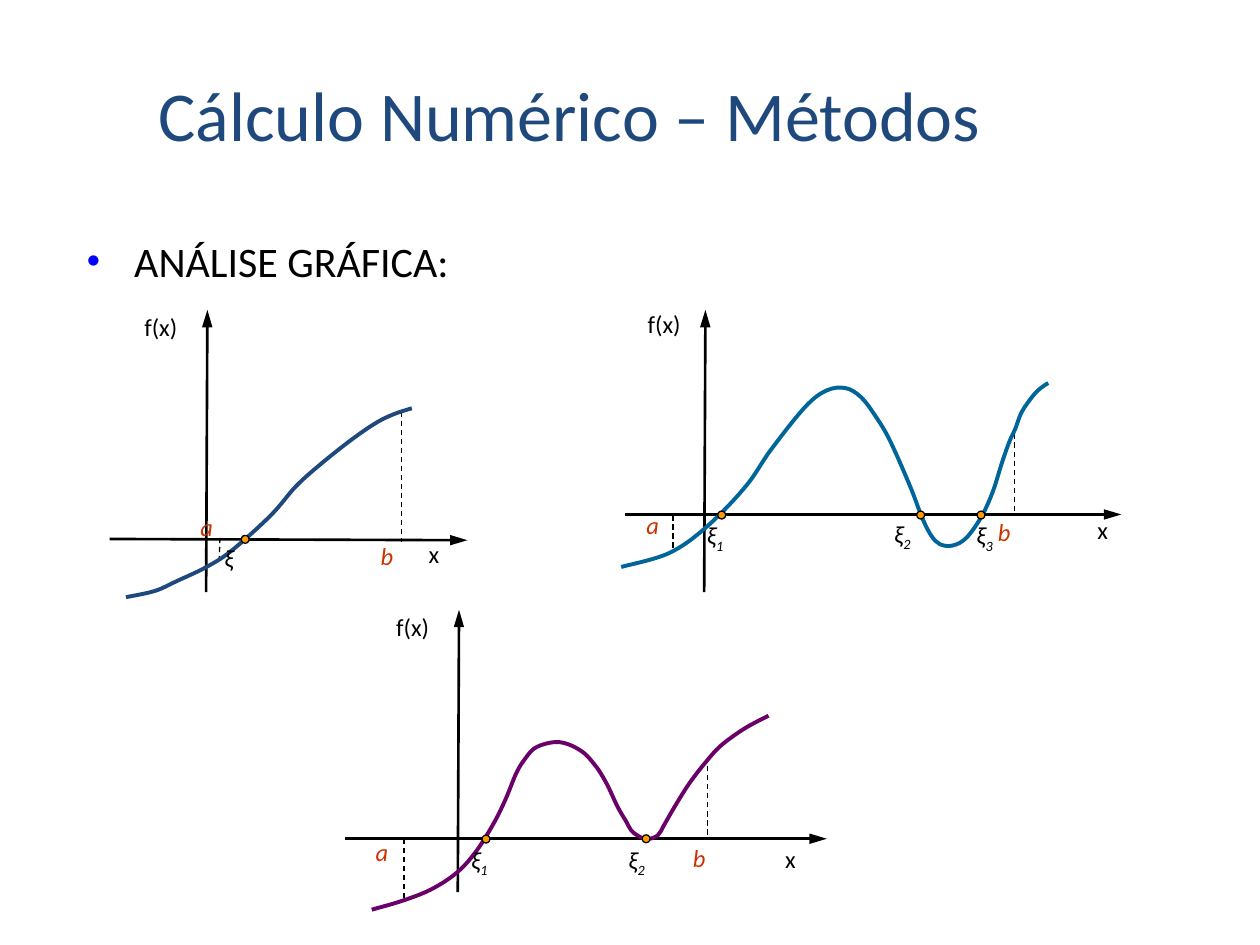
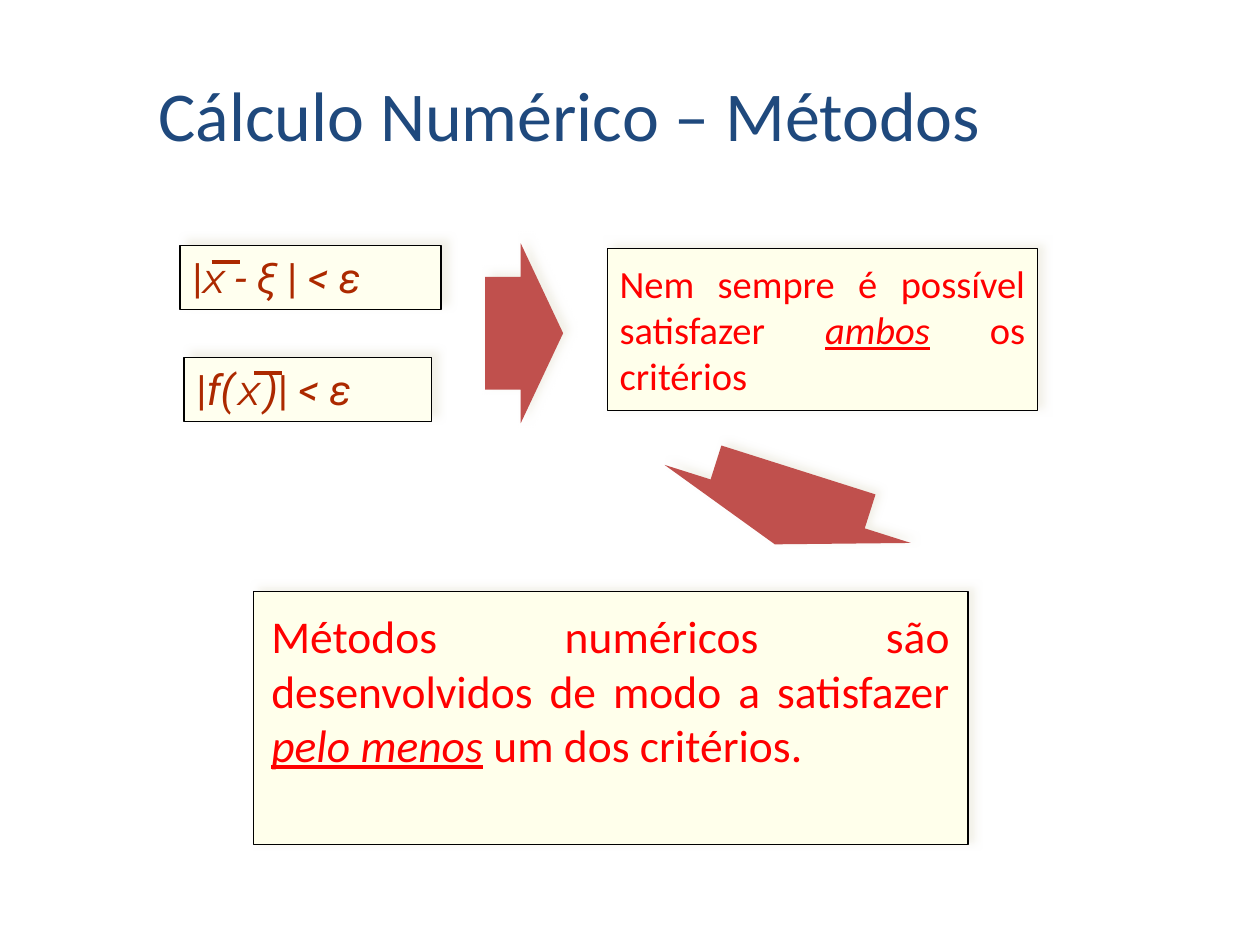
from pptx import Presentation
from pptx.dml.color import RGBColor
from pptx.enum.dml import MSO_LINE
from pptx.enum.shapes import MSO_CONNECTOR, MSO_SHAPE
from pptx.enum.text import MSO_ANCHOR, MSO_AUTO_SIZE, PP_ALIGN
from pptx.oxml.ns import qn
from pptx.util import Pt
from lxml.etree import SubElement

BLUE, BLACK, RED, RUST = "1F497D", "000000", "FF0000", "AC2900"
MARK, DOT, BRICK, SHADE = "CC3300", "FF9900", "C0504D", "EEECE1"


def ink(code):
    return RGBColor.from_string(code)


def write(par, parts, size, code, face="Calibri"):
    for text, look in parts:
        run = par.add_run()
        run.text = text
        font = run.font
        font.size = Pt(look.get("size", size))
        font.name = look.get("face", face)
        font.color.rgb = ink(code)
        font.italic = look.get("slant", False)
        font.underline = look.get("under", False)
        if "base" in look:
            run._r.get_or_add_rPr().set("baseline", look["base"])


deck = Presentation()
deck.slide_width, deck.slide_height = Pt(720), Pt(540)
pages = [deck.slides.add_slide(deck.slide_layouts[n]) for n in (1, 5)]

for page in pages:
    title = page.shapes.title
    title.left, title.top, title.width, title.height = Pt(83.3), Pt(41.8), Pt(613.4), Pt(50.4)
    frame = title.text_frame
    frame.auto_size = MSO_AUTO_SIZE.NONE
    frame.vertical_anchor = MSO_ANCHOR.BOTTOM
    par = frame.paragraphs[0]
    par.alignment = PP_ALIGN.LEFT
    write(par, [("Cálculo Numérico – Métodos", {})], 40, BLUE)

graph, rule = pages

body = graph.placeholders[1]
body.left, body.top, body.width, body.height = Pt(42.5), Pt(131), Pt(642.2), Pt(41.8)
body.text_frame.auto_size = MSO_AUTO_SIZE.NONE
par = body.text_frame.paragraphs[0]
par.alignment = PP_ALIGN.JUSTIFY
par.space_before = Pt(0)
props = par._p.get_or_add_pPr()
props.set("marL", str(Pt(27)))
props.set("indent", str(Pt(-27)))
SubElement(SubElement(props, qn("a:buClr")), qn("a:srgbClr"), val="0000FF")
SubElement(props, qn("a:buSzPct"), val="90000")
SubElement(props, qn("a:buChar"), char="•")
write(par, [("ANÁLISE GRÁFICA:", {})], 24, BLACK)

plots = [
    {
        "hue": "006699",
        "axes": [(403.1, 177.1, 402.4, 338.4), (640.8, 294, 357.1, 294)],
        "drops": [(579.6, 247.7, 579.6, 294), (384.5, 294.5, 384.5, 315.4)],
        "roots": [(412.4, 294.3), (526.1, 294.3), (560.6, 294.3)],
        "curve": [
            (355, 324), (382.3, 316.1), (403.9, 301), (426.2, 277.9), (440.6, 257),
            (460.1, 232.6), (472.3, 223.2), (483.1, 221.8), (491.8, 226.8),
            (499.7, 236.9), (508.3, 251.3), (519.8, 277.2), (527, 295.9),
            (532.1, 306), (537.1, 311), (544.3, 311.8), (552.2, 307.4),
            (560.9, 295.2), (567.4, 280.8), (572.4, 265), (576.7, 252.7),
            (580.3, 244.8), (583.9, 235.4), (590.4, 226.1), (594.7, 221.8), (599, 218.9),
        ],
        "tags": [
            ("ξ1", 403.9, 297.4), ("ξ2", 511, 296.6), ("f(x)", 370.1, 176.4),
            ("x", 627.1, 294.5), ("ξ3", 558, 297.4), ("a", 369.4, 291.6), ("b", 570.2, 295.2),
        ],
    },
    {
        "hue": BLUE,
        "axes": [(118.5, 177.1, 117.8, 338.4), (267.1, 308.7, 62.6, 308)],
        "drops": [(229.5, 235.4, 229.5, 309.6), (125.7, 307.4, 125.3, 319.7)],
        "roots": [(140.1, 308.2)],
        "curve": [
            (72, 341.3), (88.6, 337.7), (101.5, 331.9), (118.1, 324), (132.5, 314.6),
            (154.8, 294.5), (169.2, 277.9), (183.6, 265), (200.9, 251.3),
            (214.6, 241.9), (224.6, 236.9), (235.4, 233.3),
        ],
        "tags": [
            ("ξ", 128.2, 310.3), ("b", 217.6, 309.3), ("f(x)", 82.5, 178.2),
            ("x", 245, 308.2), ("a", 114.5, 292.6),
        ],
    },
    {
        "hue": "6A006A",
        "axes": [(262.3, 348.5, 261.6, 509.8), (472.5, 479.3, 197.3, 479.3)],
        "drops": [(230.9, 479.5, 230.9, 515.5), (404.3, 432.7, 404.3, 479.5)],
        "roots": [(277.7, 479.5), (369.2, 479.3)],
        "curve": [
            (212.4, 519.8), (229.7, 514.8), (246.2, 508.3), (260.6, 499), (271.4, 487.4),
            (281.5, 471.6), (288.7, 457.2), (295.2, 441.4), (300.2, 433.4),
            (305.3, 427.7), (312.5, 424.8), (319.7, 424.1), (326.9, 426.2),
            (334.1, 430.6), (339.8, 437), (343.4, 442.1), (347.8, 450),
            (352.8, 460.8), (357.8, 469.4), (360.7, 474.5), (364.3, 477.4),
            (369.4, 479.5), (375.8, 477.4), (379.4, 471.6), (385.2, 461.5),
            (393.8, 447.8), (403.2, 435.6), (411.8, 426.2), (423.4, 417.6),
            (432, 412.6), (439.2, 409),
        ],
        "tags": [
            ("a", 214.6, 478.1), ("ξ1", 269.3, 482.7), ("f(x)", 226.4, 349.6),
            ("x", 448.6, 482.4), ("ξ2", 359.1, 482.7), ("b", 396, 481.7),
        ],
    },
]

for plot in plots:
    group = graph.shapes.add_group_shape().shapes

    for ends in plot["axes"] + plot["drops"]:
        line = group.add_connector(MSO_CONNECTOR.STRAIGHT, *map(Pt, ends))
        line.line.color.rgb = ink(BLACK)
        SubElement(line._element.spPr, qn("a:effectLst"))
        if ends in plot["axes"]:
            line.line.width = Pt(1.5)
            SubElement(line.line._get_or_add_ln(), qn("a:headEnd"), type="triangle", w="med", len="lg")
        else:
            line.line.width = Pt(0.75)
            line.line.dash_style = MSO_LINE.DASH

    knots = [tuple(map(Pt, knot)) for knot in plot["curve"]]
    pen = group.build_freeform(*knots[0])
    pen.add_line_segments(knots[1:], close=False)
    curve = pen.convert_to_shape()
    curve.shadow.inherit = False
    curve.fill.background()
    curve.line.color.rgb = ink(plot["hue"])
    curve.line.width = Pt(2.25)

    padded = knots[:1] + knots + knots[-1:]
    quads = zip(padded, padded[1:], padded[2:], padded[3:])
    for leg, quad in zip(list(curve._element.iter(qn("a:lnTo"))), quads):
        leg.tag = qn("a:cubicBezTo")
        leg.remove(leg[0])
        axes = list(zip(*quad))
        for bend in (
            [q + (r - p) / 6 for p, q, r, s in axes],
            [r - (s - q) / 6 for p, q, r, s in axes],
            quad[2],
        ):
            x, y = bend
            SubElement(leg, qn("a:pt"), x=str(round(x - curve.left)), y=str(round(y - curve.top)))

    for x, y in plot["roots"]:
        root = group.add_shape(MSO_SHAPE.OVAL, Pt(x - 2.25), Pt(y - 2.25), Pt(4.5), Pt(4.5))
        root.shadow.inherit = False
        root.fill.solid()
        root.fill.fore_color.rgb = ink(DOT)
        root.line.color.rgb = ink(BLACK)
        root.line.width = Pt(0.75)

    for text, x, y in plot["tags"]:
        tag = group.add_textbox(Pt(x), Pt(y), Pt(31 if text == "f(x)" else 19), Pt(17.3))
        frame = tag.text_frame
        frame.word_wrap = True
        frame.margin_left = frame.margin_right = frame.margin_top = frame.margin_bottom = 0
        parts = [(text, {"slant": text in "ab"})]
        if text[0] == "ξ":
            parts = [("ξ", {"slant": True})]
            if text[1:]:
                parts.append((text[1:], {"slant": True, "base": "-25000"}))
        write(frame.paragraphs[0], parts, 14, MARK if text in "ab" else BLACK)

for x, y, w, h, turn in [(427.2, 216, 44.6, 147.6, 107.6), (277.2, 139, 44.6, 102.8, 0)]:
    arrow = rule.shapes.add_shape(MSO_SHAPE.RIGHT_ARROW, Pt(x), Pt(y), Pt(w), Pt(h))
    arrow.rotation = turn
    arrow.adjustments[0], arrow.adjustments[1] = 0.626, 0.543
    arrow.fill.solid()
    arrow.fill.fore_color.rgb = ink(BRICK)
    arrow.line.fill.background()

plain, slant = {}, {"slant": True}
stress = {"slant": True, "under": True}
glyph = {"slant": True, "face": "Montserrat"}
boxes = [
    (347, 142.1, 245.9, 92.7, "FFFFEB", (7.2, 6.5), 22, RED, "Calibri",
     [("Nem sempre é possível satisfazer ", plain), ("ambos", stress), (" os critérios", plain)]),
    (105.1, 204.3, 141.4, 36.5, "FFFFEF", (7.2, 3.6), 24, RUST, "Roboto",
     [("|", plain), ("f(", slant), (" ", {"slant": True, "size": 8, "face": "Calibri"}),
      ("x", glyph), (" ", {"slant": True, "size": 8}), (")", slant), ("|", plain),
      (" < ε", slant)]),
    (102.8, 140.3, 149.2, 36.5, "FFFFEF", (7.2, 3.6), 24, RUST, "Roboto",
     [("|", plain), ("x", glyph), (" - ξ ", slant), ("| ", plain), ("< ε", slant)]),
    (145, 338, 408.2, 144.6, "FFFFEB", (10.1, 9.4), 26, RED, "Calibri",
     [("Métodos numéricos são desenvolvidos de modo a satisfazer ", plain),
      ("pelo menos", stress), (" um dos critérios.", plain)]),
]
for x, y, w, h, fill, pad, size, code, face, parts in boxes:
    box = rule.shapes.add_shape(MSO_SHAPE.RECTANGLE, Pt(x), Pt(y), Pt(w), Pt(h))
    box.fill.solid()
    box.fill.fore_color.rgb = ink(fill)
    box.line.color.rgb = ink(BLACK)
    box.line.width = Pt(0.75)
    frame = box.text_frame
    frame.word_wrap = True
    frame.vertical_anchor = MSO_ANCHOR.TOP
    frame.margin_left = frame.margin_right = Pt(pad[0])
    frame.margin_top = frame.margin_bottom = Pt(pad[1])
    par = frame.paragraphs[0]
    par.alignment = PP_ALIGN.JUSTIFY if code == RED else PP_ALIGN.LEFT
    write(par, parts, size, code, face)

near, far = (3.6, 326), (5, 323)
for shape, (gap, angle) in zip(list(rule.shapes)[1:], [near, near, near, far, far, near]):
    shape.shadow.inherit = False
    glow = SubElement(
        shape._element.spPr.find(qn("a:effectLst")), qn("a:outerShdw"),
        blurRad=str(Pt(5)), dist=str(Pt(gap)), dir=str(angle * 60000), rotWithShape="0",
    )
    tone = SubElement(glow, qn("a:srgbClr"), val=SHADE)
    SubElement(tone, qn("a:alpha"), val="75000")

for x, y in [(145.4, 213.1), (121, 149.8)]:
    bar = rule.shapes.add_connector(MSO_CONNECTOR.STRAIGHT, Pt(x), Pt(y), Pt(x + 16), Pt(y))
    bar.line.color.rgb = ink(RUST)
    bar.line.width = Pt(2.25)
    SubElement(bar._element.spPr, qn("a:effectLst"))

deck.save("out.pptx")
